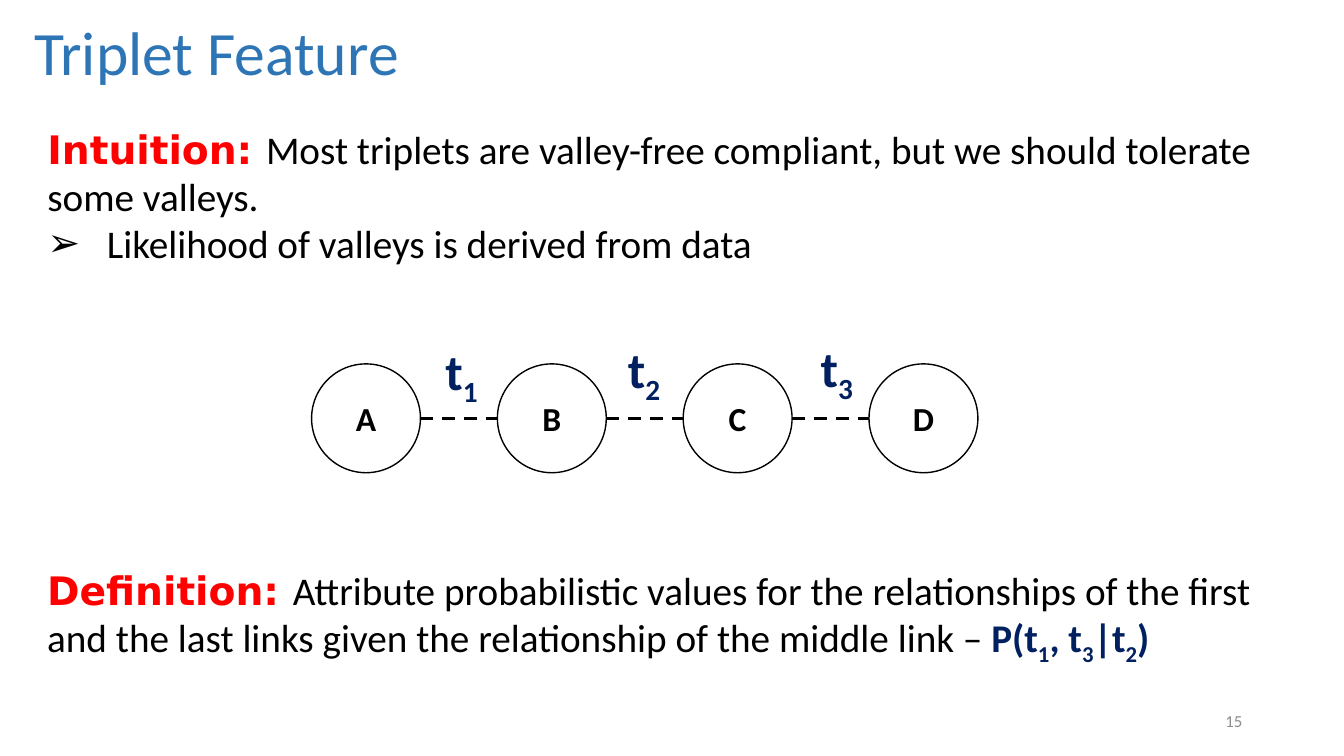
from lxml import etree
from pptx import Presentation
from pptx import util as u
from pptx.dml.color import RGBColor
from pptx.enum import dml, shapes, text
from pptx.oxml.ns import qn

BLUE = RGBColor(0x2E, 0x75, 0xB6)
NAVY = RGBColor(0x00, 0x20, 0x60)
RED = RGBColor(0xFF, 0x00, 0x00)
BLACK = RGBColor(0x00, 0x00, 0x00)
WHITE = RGBColor(0xFF, 0xFF, 0xFF)
GREY = RGBColor(0x8C, 0x8C, 0x8C)


def add_text(paragraph, words, size=28, color=BLACK, bold=False, font="Calibri", sub=False):
    run = paragraph.add_run()
    run.text = words
    run.font.name = font
    run.font.size = u.Pt(size)
    run.font.bold = bold
    run.font.color.rgb = color
    if sub:
        run._r.get_or_add_rPr().set("baseline", "-25000")


class TripletSlide:
    body_size = 28
    link_size = 36
    node_size = 24

    def __init__(self, deck):
        self.slide = deck.slides.add_slide(deck.slide_layouts[1])

    def place(self, shape, left, top, width, height):
        shape.left, shape.top = u.Inches(left), u.Inches(top)
        shape.width, shape.height = u.Inches(width), u.Inches(height)

    def title(self, words, *box):
        heading = self.slide.shapes.title
        self.place(heading, *box)
        frame = heading.text_frame
        frame.vertical_anchor = text.MSO_ANCHOR.BOTTOM
        frame.auto_size = text.MSO_AUTO_SIZE.NONE
        line = frame.paragraphs[0]
        line.alignment = text.PP_ALIGN.LEFT
        line.line_spacing = 0.9
        add_text(line, words, size=44, color=BLUE)

    def body(self, *box):
        content = self.slide.placeholders[1]
        self.place(content, *box)
        content.text_frame.auto_size = text.MSO_AUTO_SIZE.NONE
        return content.text_frame

    def text_box(self, *box, wrap=True):
        frame = self.slide.shapes.add_textbox(*map(u.Inches, box)).text_frame
        frame.word_wrap = wrap
        return frame

    def statement(self, paragraph, label, words):
        self.bullet(paragraph)
        add_text(paragraph, label, size=self.body_size, color=RED, bold=True, font="DejaVu Sans")
        add_text(paragraph, words, size=self.body_size)

    def bullet(self, paragraph, char=None, hang=0):
        paragraph.space_before = u.Pt(0)
        props = paragraph._p.get_or_add_pPr()
        props.set("marL", str(u.Inches(hang)))
        props.set("indent", str(-u.Inches(hang)))
        if char:
            etree.SubElement(props, qn("a:buChar")).set("char", char)
        else:
            etree.SubElement(props, qn("a:buNone"))

    def formula(self, paragraph, parts, size):
        for base, index in parts:
            add_text(paragraph, base, size=size, color=NAVY, bold=True)
            if index:
                add_text(paragraph, index, size=size, color=NAVY, bold=True, sub=True)

    def node(self, name, left, top, diameter):
        box = map(u.Inches, (left, top, diameter, diameter))
        circle = self.slide.shapes.add_shape(shapes.MSO_SHAPE.OVAL, *box)
        circle.shadow.inherit = False
        circle.fill.solid()
        circle.fill.fore_color.rgb = WHITE
        circle.line.color.rgb = BLACK
        circle.line.width = u.Pt(1)
        circle.text_frame.vertical_anchor = text.MSO_ANCHOR.MIDDLE
        line = circle.text_frame.paragraphs[0]
        line.alignment = text.PP_ALIGN.CENTER
        add_text(line, name, size=self.node_size, bold=True)

    def link(self, start, end, y):
        ends = map(u.Inches, (start, y, end, y))
        dash = self.slide.shapes.add_connector(shapes.MSO_CONNECTOR.STRAIGHT, *ends)
        dash.line.color.rgb = BLACK
        dash.line.width = u.Pt(2.25)
        dash.line.dash_style = dml.MSO_LINE.DASH
        etree.SubElement(dash._element.spPr, qn("a:effectLst"))

    def page_number(self, number, *box):
        frame = self.text_box(*box)
        frame.vertical_anchor = text.MSO_ANCHOR.MIDDLE
        line = frame.paragraphs[0]
        line.alignment = text.PP_ALIGN.RIGHT
        add_text(line, number, size=12, color=GREY)


def main():
    deck = Presentation()
    deck.slide_width, deck.slide_height = u.Inches(13.33), u.Inches(7.5)
    page = TripletSlide(deck)
    page.title("Triplet Feature", 0.24, 0, 12.85, 0.93)

    intuition = page.body(0.37, 1.19, 12.72, 1.51)
    page.statement(intuition.paragraphs[0], "Intuition: ",
                   "Most triplets are valley-free compliant, but we should tolerate some valleys.")
    likelihood = intuition.add_paragraph()
    page.bullet(likelihood, "➢", 0.59)
    add_text(likelihood, "Likelihood of valleys is derived from data", size=page.body_size)

    definition = page.text_box(0.37, 5.57, 12.53, 1.04).paragraphs[0]
    page.statement(definition, "Definition: ",
                   "Attribute probabilistic values for the relationships of the first and the last "
                   "links given the relationship of the middle link – ")
    page.formula(definition, [("P(t", "1"), (", t", "3"), ("|t", "2"), (")", "")], page.body_size)

    first, top, diameter, pitch = 3.09, 3.61, 1.08, 1.843
    for i, name in enumerate("ABCD"):
        page.node(name, first + i * pitch, top, diameter)

    link_labels = [(4.32, 3.32), (6.13, 3.3), (8.04, 3.29)]
    for i, (left, label_top) in enumerate(link_labels):
        start = first + i * pitch + diameter
        page.link(start, first + (i + 1) * pitch, top + diameter / 2)
        label = page.text_box(left, label_top, 0.57, 0.71, wrap=False)
        page.formula(label.paragraphs[0], [("t", str(i + 1))], page.link_size)

    page.page_number("15", 9.42, 6.95, 3, 0.4)
    deck.save("out.pptx")


if __name__ == "__main__":
    main()
